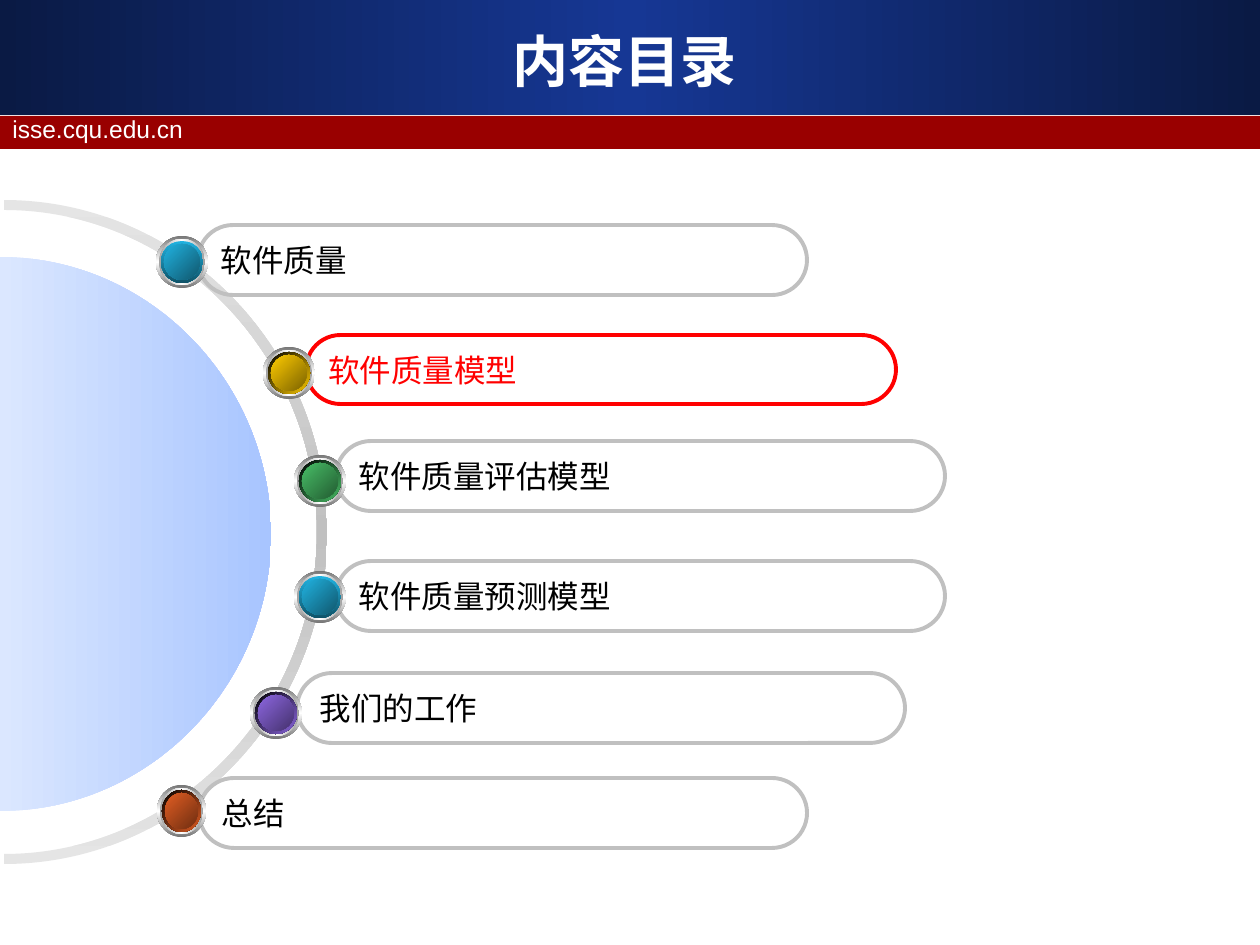
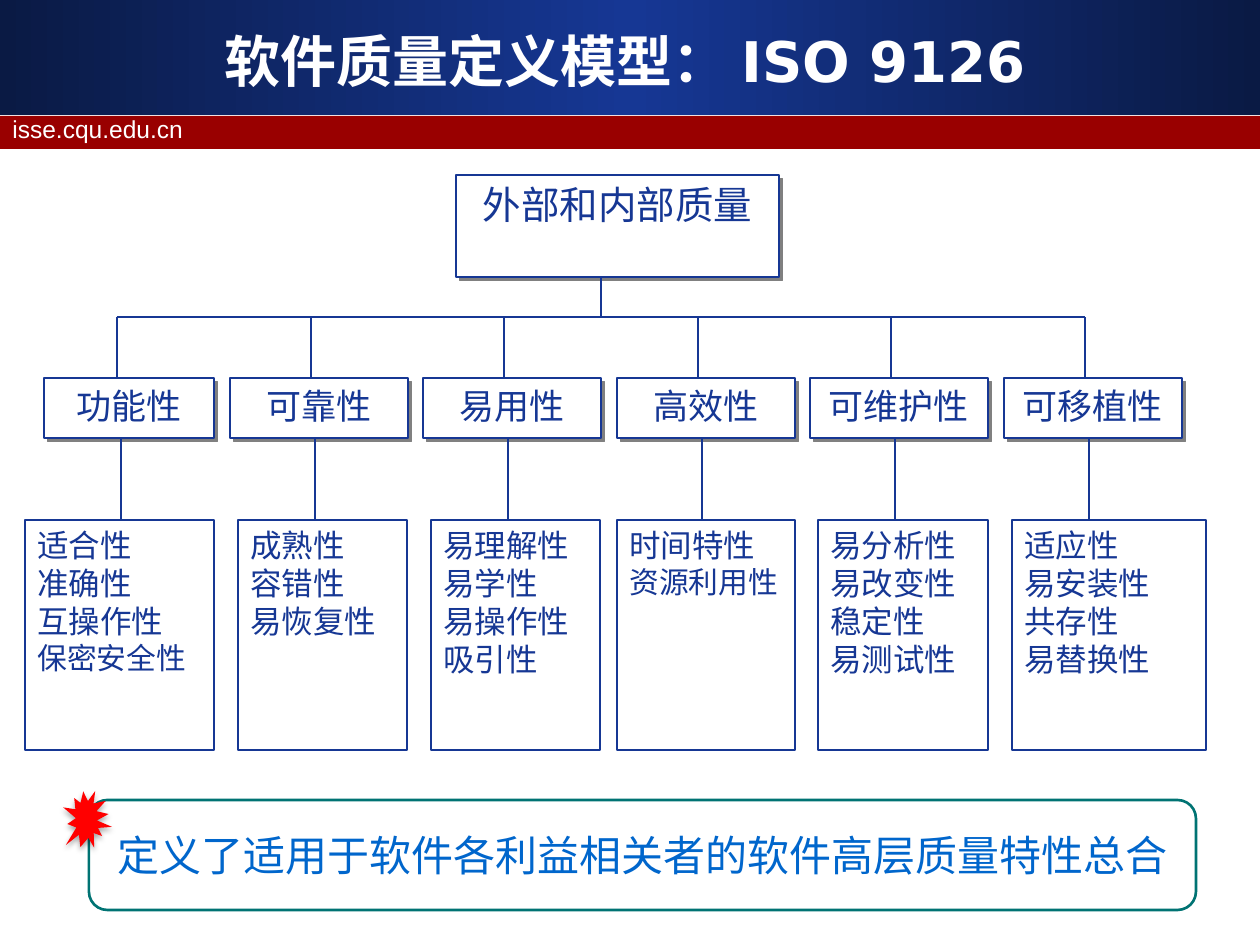
"""Build two slides on software quality: an agenda arc and the ISO 9126 tree."""
from dataclasses import dataclass
from typing import NamedTuple

from lxml import etree
from pptx import Presentation
from pptx import util as u
from pptx.dml.color import RGBColor
from pptx.enum import shapes, text
from pptx.oxml.ns import qn

SCALE = 914400 / 126
WIDTH, HEIGHT = 1260, 945
NAVY, WHITE, BLACK, RED = "163794", "FFFFFF", "000000", "FF0000"
MIDNIGHT, SILVER, MAROON, TEAL, AZURE = "0A1A44", "C0C0C0", "990000", "007373", "0066CC"
CJK = "Noto Sans CJK SC"
SHAPE = shapes.MSO_SHAPE
LEFT, CENTER = text.PP_ALIGN.LEFT, text.PP_ALIGN.CENTER
TOP, MIDDLE = text.MSO_ANCHOR.TOP, text.MSO_ANCHOR.MIDDLE


class Frame(NamedTuple):
    left: int
    top: int
    width: int
    height: int


@dataclass
class Style:
    size: int
    color: str
    font: str = CJK
    bold: bool = False
    align: text.PP_ALIGN = LEFT
    anchor: text.MSO_ANCHOR = TOP
    wrap: bool = True
    leading: float = 0


@dataclass
class Topic:
    label: str
    pill: Frame
    ball: Frame
    rim: tuple[str, str, int]
    core: tuple[str, str]
    line: str = SILVER
    ink: str = BLACK


@dataclass
class Branch:
    name: str
    head_width: int
    list_left: int
    list_width: int
    items: list[str]


Segment = list[tuple[int, int]]

BLUE_RIM, BLUE_CORE = ("21B3E1", "0F5368", 90), ("21B3E1", "10576D")
TOPICS = [
    Topic("软件质量", Frame(198, 225, 609, 70), Frame(156, 236, 52, 52), BLUE_RIM, BLUE_CORE),
    Topic("软件质量模型", Frame(306, 335, 590, 69), Frame(263, 347, 52, 52),
          (BLACK, "FFCC00", 45), ("FFCC00", "7C6300"), RED, RED),
    Topic("软件质量评估模型", Frame(336, 441, 609, 70), Frame(294, 455, 52, 52),
          (BLACK, "48BE67", 45), ("48BE67", "235C32")),
    Topic("软件质量预测模型", Frame(336, 561, 609, 70), Frame(294, 571, 52, 52), BLUE_RIM, BLUE_CORE),
    Topic("我们的工作", Frame(297, 673, 608, 70), Frame(250, 687, 52, 52),
          (BLACK, "8D67E1", 45), ("8D67E1", "45326D")),
    Topic("总结", Frame(199, 778, 608, 70), Frame(157, 785, 49, 52),
          (BLACK, "E35E23", 45), ("E35E23", "6E2E11")),
]
BRANCHES = [
    Branch("功能性", 170, 25, 189, ["适合性", "准确性", "互操作性", "保密安全性"]),
    Branch("可靠性", 178, 238, 169, ["成熟性", "容错性", "易恢复性"]),
    Branch("易用性", 178, 431, 169, ["易理解性", "易学性", "易操作性", "吸引性"]),
    Branch("高效性", 178, 617, 178, ["时间特性", "资源利用性"]),
    Branch("可维护性", 178, 818, 170, ["易分析性", "易改变性", "稳定性", "易测试性"]),
    Branch("可移植性", 178, 1012, 194, ["适应性", "易安装性", "共存性", "易替换性"]),
]


def emu(px: float) -> int:
    """Turn px into EMU."""
    return round(px * SCALE)


def rgb(value: str) -> RGBColor:
    """Turn a hex string into a colour."""
    return RGBColor.from_string(value)


def apply(target, **values) -> None:
    """Set each named attribute on the target."""
    for name, value in values.items():
        setattr(target, name, value)


def place(box, frame: Frame) -> None:
    """Move and size a box."""
    apply(box, **{name: emu(px) for name, px in frame._asdict().items()})


def gradient(box, colors: list[str], angle: int) -> None:
    """Fill a box with evenly spaced colour stops."""
    box.fill.background()
    blank = box._element.spPr.find(qn("a:noFill"))
    fill = etree.Element(qn("a:gradFill"), rotWithShape="1")
    stops = etree.SubElement(fill, qn("a:gsLst"))
    for index, color in enumerate(colors):
        stop = etree.SubElement(stops, qn("a:gs"), pos=str(100000 * index // (len(colors) - 1)))
        etree.SubElement(stop, qn("a:srgbClr"), val=color)
    etree.SubElement(fill, qn("a:lin"), ang=str(angle * 60000), scaled="0")
    blank.getparent().replace(blank, fill)


def shade(box, color: str, alpha: int, blur: float, distance: float, angle: int) -> None:
    """Give a box an outer shadow."""
    effects = box._element.spPr.find(qn("a:effectLst"))
    shadow = etree.SubElement(effects, qn("a:outerShdw"), blurRad=str(u.Pt(blur)),
                              dist=str(u.Pt(distance)), dir=str(angle * 60000),
                              algn="ctr", rotWithShape="0")
    ink = etree.SubElement(shadow, qn("a:srgbClr"), val=color)
    etree.SubElement(ink, qn("a:alpha"), val=str(alpha * 1000))


def write(box, lines: list[str], style: Style) -> None:
    """Write one paragraph per line in the given style."""
    frame = box.text_frame
    apply(frame, word_wrap=style.wrap, vertical_anchor=style.anchor,
          auto_size=text.MSO_AUTO_SIZE.NONE)
    for index, line in enumerate(lines):
        para = frame.add_paragraph() if index else frame.paragraphs[0]
        para.alignment = style.align
        size = style.size - 1 if len(lines) > 1 and len(line) > 4 else style.size
        if style.leading:
            para.line_spacing = u.Pt(round(size * style.leading, 1))
        span = para.add_run()
        span.text = line
        apply(span.font, name=style.font, size=u.Pt(size), bold=style.bold)
        span.font.color.rgb = rgb(style.color)
        etree.SubElement(span._r.get_or_add_rPr(), qn("a:ea"), typeface=CJK)


def add_box(page, kind, frame: Frame, fill: str = "", line: str = "", weight: float = 0.75):
    """Add a preset shape with plain fill and line."""
    box = page.shapes.add_shape(kind, *map(emu, frame))
    box.shadow.inherit = False
    if fill:
        box.fill.solid()
        box.fill.fore_color.rgb = rgb(fill)
    else:
        box.fill.background()
    if line:
        box.line.color.rgb = rgb(line)
        box.line.width = u.Pt(weight)
    else:
        box.line.fill.background()
    return box


def add_line(page, x1: int, y1: int, x2: int, y2: int) -> None:
    """Add a thin navy line."""
    line = page.shapes.add_connector(shapes.MSO_CONNECTOR.STRAIGHT, *map(emu, (x1, y1, x2, y2)))
    line.line.color.rgb = rgb(NAVY)
    line.line.width = u.Pt(0.75)
    etree.SubElement(line._element.spPr, qn("a:effectLst"))


def half_ellipse(x: int, y: int, across: int, down: int) -> list[Segment]:
    """Give the two curves down the right half of an ellipse, after its start."""
    bend_x, bend_y = round(across * 0.55), round(down * 0.55)
    return [[(x + bend_x, y - down), (x + across, y - bend_y), (x + across, y)],
            [(x + across, y + bend_y), (x + bend_x, y + down), (x, y + down)]]


def add_outline(page, start: tuple[int, int], segments: list[Segment],
                colors: list[str], angle: int) -> None:
    """Add a closed gradient outline; three points make a curve, one a line."""
    builder = page.shapes.build_freeform(*start, scale=SCALE)
    builder.add_line_segments([point for segment in segments for point in segment], close=True)
    box = builder.convert_to_shape()
    steps = iter(list(box._element.iter(qn("a:lnTo"))))
    for segment in segments:
        parts = [next(steps) for _ in segment]
        if len(parts) == 3:
            curve = etree.Element(qn("a:cubicBezTo"))
            parts[0].addprevious(curve)
            for part in parts:
                curve.append(part[0])
                part.getparent().remove(part)
    box.shadow.inherit = False
    box.line.fill.background()
    gradient(box, colors, angle)


def add_bands(page, layout) -> None:
    """Draw the shared header bands and move them to the layout."""
    header = add_box(page, SHAPE.RECTANGLE, Frame(0, 0, WIDTH, 115))
    gradient(header, [MIDNIGHT, NAVY, MIDNIGHT], 0)
    strip = add_box(page, SHAPE.RECTANGLE, Frame(0, 116, WIDTH, 33), MAROON)
    site = page.shapes.add_textbox(*map(emu, Frame(0, 108, 1211, 43)))
    write(site, ["isse.cqu.edu.cn"], Style(14, WHITE, "Arial"))
    first = layout.shapes[0]._element
    for number, box in enumerate((header, strip, site), 20):
        box._element.nvSpPr.cNvPr.set("id", str(number))
        first.addprevious(box._element)


def add_page(deck, layout, title: str):
    """Add a page with its title."""
    page = deck.slides.add_slide(layout)
    place(page.shapes.title, Frame(42, 21, 1166, 78))
    write(page.shapes.title, [title],
          Style(32, WHITE, "DejaVu Sans", True, CENTER, MIDDLE))
    return page


def add_topic(page, topic: Topic) -> None:
    """Draw one agenda pill and its ball."""
    pill = add_box(page, SHAPE.ROUNDED_RECTANGLE, topic.pill, line=topic.line, weight=2.25)
    pill.adjustments[0] = 0.5
    write(pill, [topic.label], Style(18, topic.ink, anchor=MIDDLE, wrap=False))
    *rim, rim_angle = topic.rim
    layers = [(0, ["767676", WHITE, "767676"], 90), (3, ["A2A2A2", WHITE, "A2A2A2"], 0),
              (5, rim, rim_angle), (8, list(topic.core), 45)]
    left, top, width, height = topic.ball
    for inset, colors, angle in layers:
        frame = Frame(left + inset, top + inset, width - 2 * inset, height - 2 * inset)
        gradient(add_box(page, SHAPE.OVAL, frame), colors, angle)


def build_agenda(page) -> None:
    """Draw the arc, the disc and the topics."""
    inner, outer = half_ellipse(4, 532, 313, 322), half_ellipse(4, 532, 323, 332)
    lower, upper = ([(x, 1064 - y) for x, y in segment] for segment in outer)
    add_outline(page, (4, 210), [*inner, [(4, 864)], lower, upper],
                ["E5E5E5", SILVER, "E5E5E5"], 90)
    add_outline(page, (0, 257), half_ellipse(0, 534, 271, 277), ["DBE7FF", "A8C5FF"], 0)
    for topic in TOPICS:
        add_topic(page, topic)


def add_card(page, frame: Frame, lines: list[str], size: int, raised: bool) -> None:
    """Draw a white card, centred and shadowed when raised."""
    card = add_box(page, SHAPE.RECTANGLE, frame, WHITE, NAVY)
    if raised:
        shade(card, "808080", 100, 0, 2.8, 45)
    write(card, lines, Style(size, NAVY, align=CENTER if raised else LEFT, leading=1.2))


def build_tree(page) -> None:
    """Draw the quality tree and its summary."""
    bus, head_top, head_bottom, list_top = 317, 378, 438, 520
    shifts = [(387 * index + 1) // 2 for index in range(len(BRANCHES))]
    add_card(page, Frame(456, 175, 323, 102), ["外部和内部质量"], 22, True)
    add_line(page, 601, 277, 601, bus)
    add_line(page, 117, bus, 117 + shifts[-1], bus)
    for shift, branch in zip(shifts, BRANCHES):
        head_left = 214 + shift - branch.head_width
        add_card(page, Frame(head_left, head_top, branch.head_width, 60), [branch.name], 20, True)
        add_line(page, 117 + shift, head_top, 117 + shift, bus)
        add_card(page, Frame(branch.list_left, list_top, branch.list_width, 230),
                 branch.items, 18, False)
        add_line(page, 121 + shift, head_bottom, 121 + shift, list_top)
    summary = add_box(page, SHAPE.ROUNDED_RECTANGLE, Frame(89, 800, 1107, 110),
                      line=TEAL, weight=1.5)
    write(summary, ["定义了适用于软件各利益相关者的软件高层质量特性总合"],
          Style(24, AZURE, "Arial", align=CENTER, anchor=MIDDLE))
    burst = add_box(page, SHAPE.EXPLOSION1, Frame(59, 794, 57, 50), RED)
    burst.rotation = 274.1
    shade(burst, BLACK, 35, 3.1, 1.8, 90)


def main() -> None:
    """Build and save the deck."""
    deck = Presentation()
    apply(deck, slide_width=emu(WIDTH), slide_height=emu(HEIGHT))
    layout = deck.slide_layouts[5]
    agenda = add_page(deck, layout, "内容目录")
    add_bands(agenda, layout)
    build_agenda(agenda)
    build_tree(add_page(deck, layout, "软件质量定义模型： ISO 9126"))
    deck.save("out.pptx")


if __name__ == "__main__":
    main()
